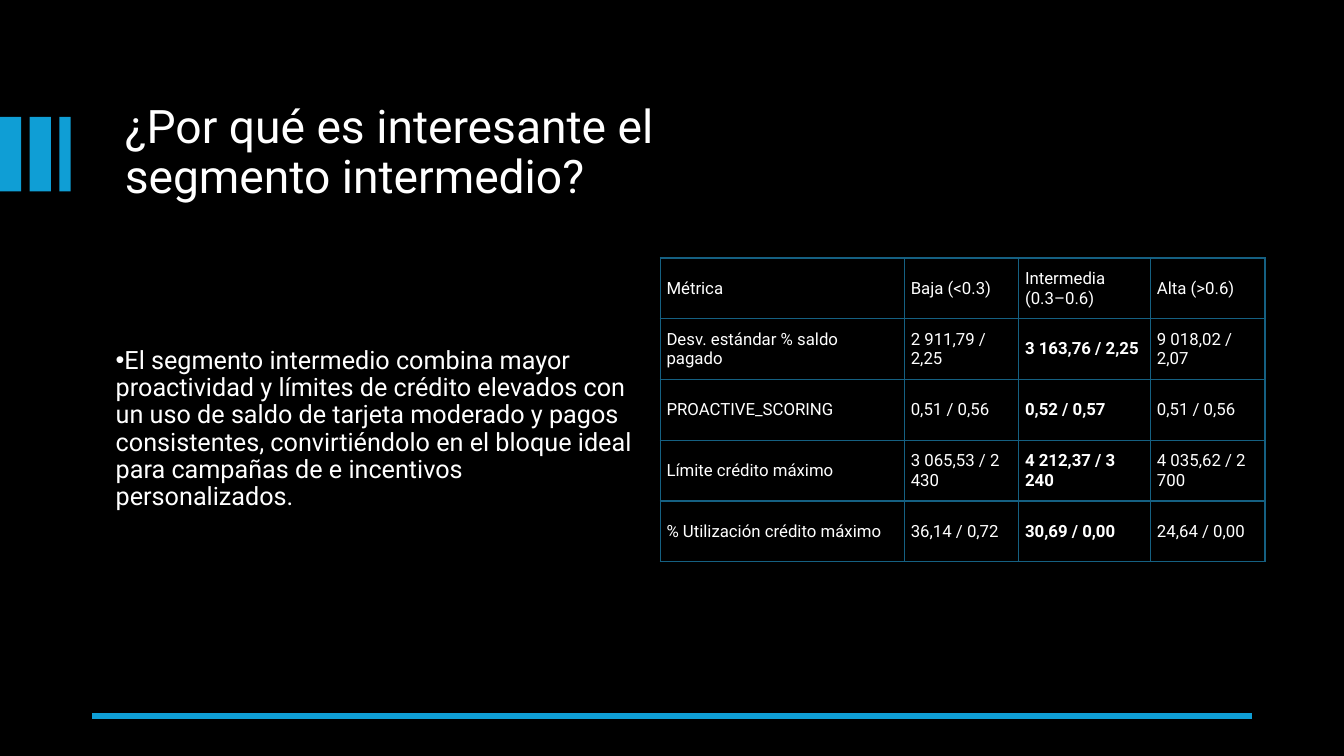
from lxml.etree import SubElement
from pptx import Presentation
from pptx.dml.color import RGBColor
from pptx.enum.shapes import MSO_CONNECTOR, MSO_SHAPE
from pptx.enum.text import MSO_ANCHOR
from pptx.oxml.ns import qn
from pptx.util import Pt

BLACK = RGBColor(0x00, 0x00, 0x00)
WHITE = RGBColor(0xFF, 0xFF, 0xFF)
ACCENT = RGBColor(0x0F, 0x9E, 0xD5)
GRID = RGBColor(0x15, 0x60, 0x82)
FONT = "Roboto"

TITLE = "¿Por qué es interesante el segmento intermedio?"
SUMMARY = (
    "El segmento intermedio combina mayor proactividad y límites de crédito "
    "elevados con un uso de saldo de tarjeta moderado y pagos consistentes, "
    "convirtiéndolo en el bloque ideal para campañas de e incentivos "
    "personalizados."
)
METRICS = [
    ["Métrica", "Baja (<0.3)", "Intermedia (0.3–0.6)", "Alta (>0.6)"],
    ["Desv. estándar % saldo pagado", "2 911,79 / 2,25", "3 163,76 / 2,25", "9 018,02 / 2,07"],
    ["PROACTIVE_SCORING", "0,51 / 0,56", "0,52 / 0,57", "0,51 / 0,56"],
    ["Límite crédito máximo", "3 065,53 / 2 430", "4 212,37 / 3 240", "4 035,62 / 2 700"],
    ["% Utilización crédito máximo", "36,14 / 0,72", "30,69 / 0,00", "24,64 / 0,00"],
]
COLUMN_SHARES = [0.404, 0.189, 0.218, 0.189]
HIGHLIGHT_COLUMN = 2


def add_block(slide, left, top, width, height, color):
    block = slide.shapes.add_shape(
        MSO_SHAPE.RECTANGLE, Pt(left), Pt(top), Pt(width), Pt(height))
    block.shadow.inherit = False
    block.fill.solid()
    block.fill.fore_color.rgb = color
    block.line.fill.background()


def add_run(paragraph, text, size, bold=False):
    run = paragraph.add_run()
    run.text = text
    run.font.name = FONT
    run.font.size = Pt(size)
    run.font.bold = bold
    run.font.color.rgb = WHITE


def add_paragraph_box(slide, left, top, width, height, text, size):
    """Add a vertically centred text box and return its paragraph."""
    box = slide.shapes.add_textbox(Pt(left), Pt(top), Pt(width), Pt(height))
    frame = box.text_frame
    frame.word_wrap = True
    frame.vertical_anchor = MSO_ANCHOR.MIDDLE
    paragraph = frame.paragraphs[0]
    paragraph.line_spacing = 0.9
    paragraph.space_after = Pt(6)
    add_run(paragraph, text, size)
    return paragraph


def add_side_bars(slide, left, top, width, height):
    """Three equal bars, each gap 40 % of a bar."""
    bar_width = width / 3.8
    for index in range(3):
        add_block(slide, left + index * bar_width * 1.4, top, bar_width, height, ACCENT)


def add_title(slide, left, top, width, height):
    add_block(slide, left, top, width, height, BLACK)
    add_paragraph_box(slide, left + 31.7, top + 17.3, width - 48.2, height - 31.6, TITLE, 33)


def add_summary(slide, left, top, width, height):
    paragraph = add_paragraph_box(slide, left, top, width, height, SUMMARY, 18)
    properties = paragraph._p.get_or_add_pPr()
    properties.set("marL", "0")
    properties.set("indent", str(-Pt(18)))
    SubElement(properties, qn("a:buFont"), typeface="Arial")
    SubElement(properties, qn("a:buChar"), char="•")


def add_cell_borders(cell):
    properties = cell._tc.get_or_add_tcPr()
    for position, side in enumerate(("a:lnL", "a:lnR", "a:lnT", "a:lnB")):
        border = properties.makeelement(qn(side), {"w": str(Pt(1))})
        fill = SubElement(border, qn("a:solidFill"))
        SubElement(fill, qn("a:srgbClr"), val=str(GRID))
        properties.insert(position, border)


def add_metrics_table(slide, left, top, width, height):
    table = slide.shapes.add_table(
        len(METRICS), len(COLUMN_SHARES), Pt(left), Pt(top), Pt(width), Pt(height)).table
    for column, share in zip(table.columns, COLUMN_SHARES):
        column.width = Pt(width * share)
    for row_index, metric in enumerate(METRICS):
        table.rows[row_index].height = Pt(height / len(METRICS))
        for column_index, value in enumerate(metric):
            cell = table.cell(row_index, column_index)
            cell.fill.background()
            cell.vertical_anchor = MSO_ANCHOR.MIDDLE
            cell.margin_left = cell.margin_right = Pt(4.5)
            cell.margin_top = cell.margin_bottom = Pt(2.25)
            highlighted = row_index > 0 and column_index == HIGHLIGHT_COLUMN
            add_run(cell.text_frame.paragraphs[0], value, 12, highlighted)
            add_cell_borders(cell)


def add_footer_line(slide, left, top, width):
    rule = slide.shapes.add_connector(
        MSO_CONNECTOR.STRAIGHT, Pt(left + width), Pt(top), Pt(left), Pt(top))
    rule.line.color.rgb = ACCENT
    rule.line.width = Pt(4.5)
    SubElement(rule._element.spPr, qn("a:effectLst"))


def main():
    presentation = Presentation()
    presentation.slide_width = Pt(960)
    presentation.slide_height = Pt(540)
    slide = presentation.slides.add_slide(presentation.slide_layouts[6])
    slide.background.fill.solid()
    slide.background.fill.fore_color.rgb = BLACK

    add_side_bars(slide, 0, 83.5, 57.6, 53.3)
    add_title(slide, 50.4, 51.8, 446.4, 113)
    add_summary(slide, 75.6, 162, 393.1, 289.4)
    add_block(slide, 529.2, 48.2, 365, 440.6, BLACK)
    add_footer_line(slide, 66, 511.2, 828)
    add_metrics_table(slide, 471.6, 184.3, 432, 217)
    presentation.save("out.pptx")


if __name__ == "__main__":
    main()
